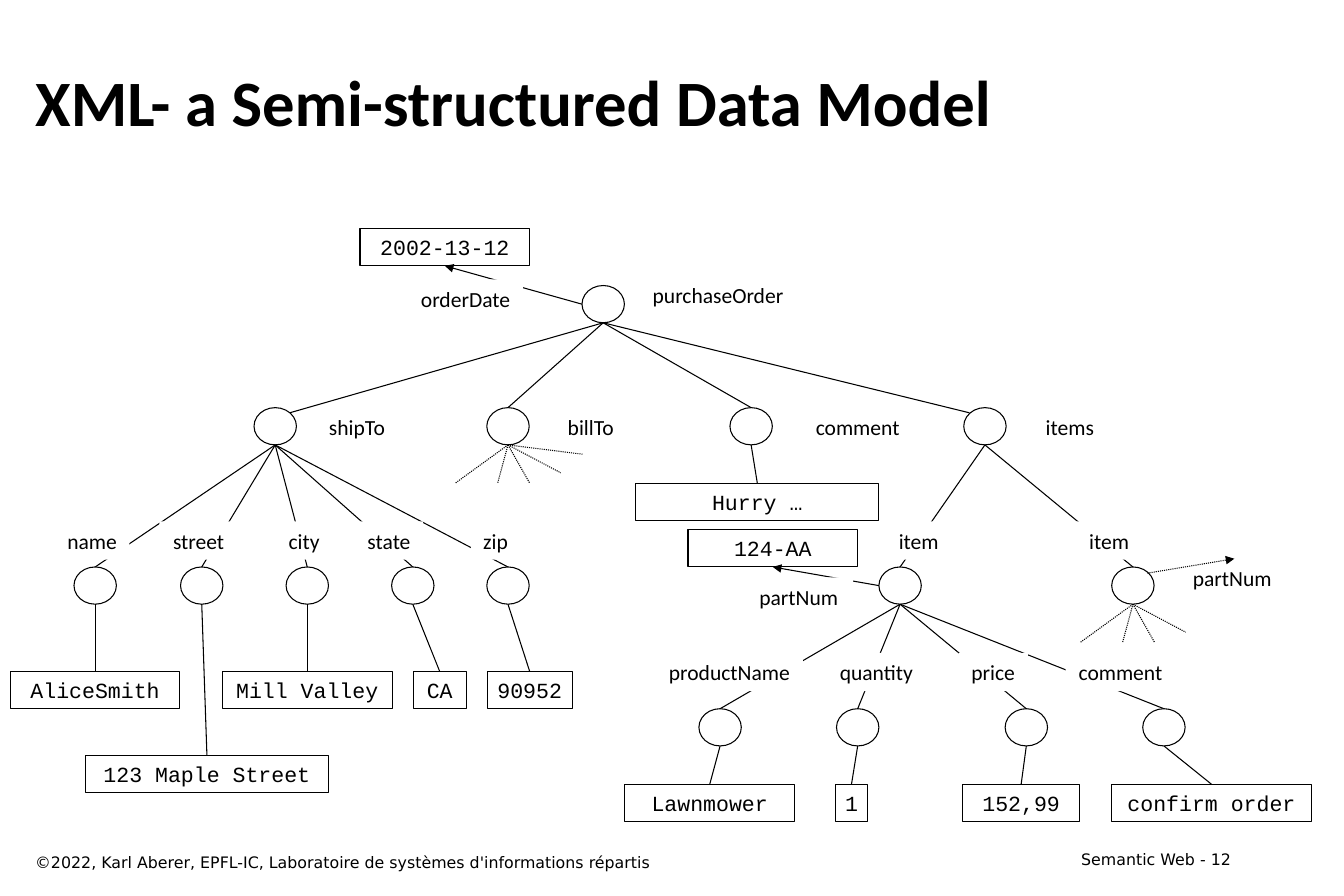
import pptx
import pptx.util
import pptx.dml.color
import pptx.enum.dml
import pptx.enum.shapes
import pptx.enum.text
import pptx.oxml
import pptx.oxml.ns
from pptx.util import Inches

BLACK = pptx.dml.color.RGBColor(0x00, 0x00, 0x00)
WHITE = pptx.dml.color.RGBColor(0xFF, 0xFF, 0xFF)
SHAPE = pptx.enum.shapes.MSO_SHAPE
ALIGN = pptx.enum.text.PP_ALIGN
ANCHOR = pptx.enum.text.MSO_ANCHOR
AUTO_SIZE = pptx.enum.text.MSO_AUTO_SIZE
NODE_WIDTH, NODE_HEIGHT = 0.41, 0.36
VALUE_HEIGHT, LABEL_HEIGHT = 0.36, 0.37
TOP_SIDE, BOTTOM_SIDE = 0, 2
FAN = [(-0.51, 0.37), (-0.1, 0.37), (0.21, 0.37), (0.51, 0.27)]


def write(frame, text, size, font, align):
    frame.text = text
    frame.margin_left = frame.margin_right = Inches(0.12)
    frame.margin_top = frame.margin_bottom = Inches(0.06)
    paragraph = frame.paragraphs[0]
    paragraph.alignment = align
    run_font = paragraph.runs[0].font
    run_font.size = pptx.util.Pt(size)
    run_font.name = font
    run_font.color.rgb = BLACK


def outlined(slide, kind, center, top, width, height):
    shape = slide.shapes.add_shape(
        kind, Inches(center - width / 2), Inches(top), Inches(width), Inches(height))
    shape.shadow.inherit = False
    shape.fill.solid()
    shape.fill.fore_color.rgb = WHITE
    shape.line.color.rgb = BLACK
    shape.line.width = pptx.util.Pt(0.75)
    return shape


def add_node(slide, center, top):
    outlined(slide, SHAPE.OVAL, center, top, NODE_WIDTH, NODE_HEIGHT)


def add_value(slide, center, top, width, text):
    value = outlined(slide, SHAPE.RECTANGLE, center, top, width, VALUE_HEIGHT)
    write(value.text_frame, text, 15, "Courier New", ALIGN.CENTER)
    value.text_frame.word_wrap = False
    value.text_frame.vertical_anchor = ANCHOR.MIDDLE
    return value


def add_label(slide, center, top, width, text):
    label = outlined(slide, SHAPE.RECTANGLE, center, top, width, LABEL_HEIGHT)
    label.line.fill.background()
    write(label.text_frame, text, 15, "Calibri", ALIGN.CENTER)
    label.text_frame.margin_left = label.text_frame.margin_right = Inches(0.06)
    label.text_frame.word_wrap = False
    label.text_frame.vertical_anchor = ANCHOR.TOP
    label.text_frame.auto_size = AUTO_SIZE.NONE


def add_edge(slide, start, end, dotted=False, arrow=False):
    edge = slide.shapes.add_connector(
        pptx.enum.shapes.MSO_CONNECTOR.STRAIGHT, *map(Inches, start + end))
    edge.line.color.rgb = BLACK
    edge.line.width = pptx.util.Pt(0.75)
    if dotted:
        edge.line.dash_style = pptx.enum.dml.MSO_LINE.ROUND_DOT
    if arrow:
        edge.line._get_or_add_ln().append(pptx.oxml.parse_xml(
            f'<a:tailEnd {pptx.oxml.ns.nsdecls("a")} type="triangle"/>'))
    edge._element.spPr.append(pptx.oxml.parse_xml(
        f'<a:effectLst {pptx.oxml.ns.nsdecls("a")}/>'))
    return edge


def add_value_edge(slide, start, value, side, arrow=False):
    edge = add_edge(slide, start, start, arrow=arrow)
    edge.end_connect(value, side)


def add_fan(slide, center, top, offsets):
    for dx, dy in offsets:
        add_edge(slide, (center, top), (center + dx, top + dy), dotted=True)


def add_leaves(slide, left, top, parent, node_top, label_top, leaves):
    for node, *_ in leaves:
        add_edge(slide, parent, (left + node, top + node_top))
    for node, label, label_center, label_width, text, center, value_top, width in leaves:
        add_node(slide, left + node, top + node_top)
        value = add_value(slide, left + center, top + value_top, width, text)
        add_value_edge(slide, (left + node, top + node_top + NODE_HEIGHT), value, TOP_SIDE)
        add_label(slide, left + label_center, top + label_top, label_width, label)


def add_order(slide, left, top):
    root = left + 3.37
    root_top = top + 0.55
    child_top = top + 1.73
    add_node(slide, root, root_top)
    date = add_value(slide, left + 1.84, top, 1.64, "2002-13-12")
    add_value_edge(slide, (root - NODE_WIDTH / 2, root_top + NODE_HEIGHT / 2),
                   date, BOTTOM_SIDE, arrow=True)
    add_label(slide, left + 2.04, top + 0.49, 1.11, "orderDate")
    add_label(slide, left + 4.48, top + 0.46, 1.52, "purchaseOrder")
    children = [
        ("shipTo", 0.2, 0.99, 0.78, 0.14, 0.05),
        ("billTo", 2.45, 3.25, 0.69, 0, 0),
        ("comment", 4.8, 5.83, 1.06, 0, 0),
        ("items", 7.06, 7.88, 0.71, -0.15, 0.05),
    ]
    for text, center, label_center, width, dx, dy in children:
        add_node(slide, left + center, child_top)
        add_edge(slide, (root, root_top + NODE_HEIGHT), (left + center + dx, child_top + dy))
        add_label(slide, left + label_center, child_top, width, text)
    child_bottom = child_top + NODE_HEIGHT
    add_fan(slide, left + 2.45, child_bottom, FAN + [(0.72, 0.09)])
    remark = add_value(slide, left + 4.86, top + 2.46, 2.35, "Hurry …")
    add_value_edge(slide, (left + 4.8, child_bottom), remark, TOP_SIDE)


def add_address(slide, left, top):
    add_leaves(slide, left, top, (left + 2.56, top), 1.18, 0.74, [
        (0.82, "name", 0.79, 0.72, "AliceSmith", 0.82, 2.19, 1.64),
        (1.85, "street", 1.82, 0.76, "123 Maple Street", 1.9, 3.0, 2.35),
        (2.87, "city", 2.84, 0.56, "Mill Valley", 2.87, 2.19, 1.64),
        (3.89, "state", 3.66, 0.66, "CA", 4.15, 2.19, 0.51),
        (4.81, "zip", 4.69, 0.48, "90952", 5.02, 2.19, 0.82),
    ])


def add_items(slide, left, top):
    item_top = top + 1.18
    item_bottom = item_top + NODE_HEIGHT
    first, second = left + 2.66, left + 4.91
    for item, label_center in ((first, 2.84), (second, 4.68)):
        add_node(slide, item, item_top)
        add_edge(slide, (left + 3.48, top), (item, item_top))
        add_label(slide, left + label_center, top + 0.74, 0.64, "item")
    part = add_value(slide, left + 1.43, top + 0.82, 1.64, "124-AA")
    add_value_edge(slide, (first - NODE_WIDTH / 2, item_top + NODE_HEIGHT / 2),
                   part, BOTTOM_SIDE, arrow=True)
    add_label(slide, left + 1.68, top + 1.28, 1.05, "partNum")
    add_leaves(slide, left, top, (first, item_bottom), 2.55, 2.01, [
        (0.92, "productName", 1.01, 1.42, "Lawnmower", 0.82, 3.28, 1.64),
        (2.25, "quantity", 2.43, 0.98, "1", 2.19, 3.28, 0.31),
        (3.88, "price", 3.56, 0.67, "152,99", 3.83, 3.28, 1.13),
        (5.21, "comment", 4.79, 1.06, "confirm order", 5.67, 3.28, 1.94),
    ])
    add_fan(slide, second, item_bottom, FAN)
    add_label(slide, left + 5.87, top + 1.1, 1.05, "partNum")
    add_edge(slide, (left + 5.05, top + 1.24), (left + 5.89, top + 1.1),
             dotted=True, arrow=True)


def add_title(slide, left, top, width, height):
    title = slide.shapes.title
    title.left, title.top, title.width, title.height = map(
        Inches, (left, top, width, height))
    write(title.text_frame, "XML- a Semi-structured Data Model", 45, "Calibri", ALIGN.LEFT)
    title.text_frame.paragraphs[0].runs[0].font.bold = True
    title.text_frame.vertical_anchor = ANCHOR.MIDDLE
    title.text_frame.auto_size = AUTO_SIZE.NONE


def add_footer(slide, left, top, width, text, align):
    footer = slide.shapes.add_textbox(*map(Inches, (left, top, width, 0.29)))
    footer.text_frame.word_wrap = True
    write(footer.text_frame, text, 11, "DejaVu Sans", align)


def main():
    deck = pptx.Presentation()
    deck.slide_width, deck.slide_height = Inches(12.99), Inches(8.66)
    slide = deck.slides.add_slide(deck.slide_layouts[5])
    add_title(slide, 0.22, 0.39, 11.8, 1.16)
    add_order(slide, 2.46, 2.21)
    add_address(slide, 0.1, 4.3)
    add_items(slide, 6.04, 4.3)
    add_footer(slide, 0.22, 8.18, 8.34,
               "©2022, Karl Aberer, EPFL-IC, Laboratoire de systèmes d'informations répartis",
               ALIGN.LEFT)
    add_footer(slide, 9.31, 8.15, 2.71, "Semantic Web - 12", ALIGN.RIGHT)
    deck.save("out.pptx")


if __name__ == "__main__":
    main()
